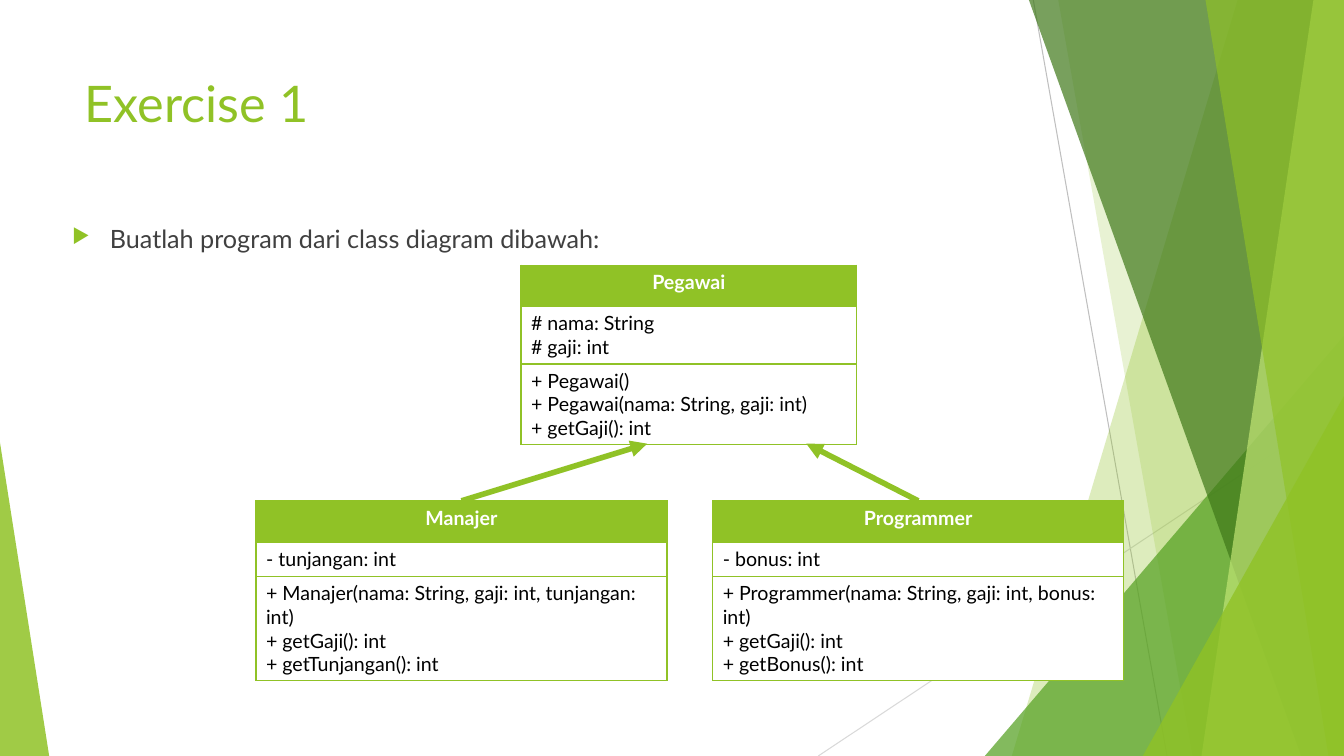
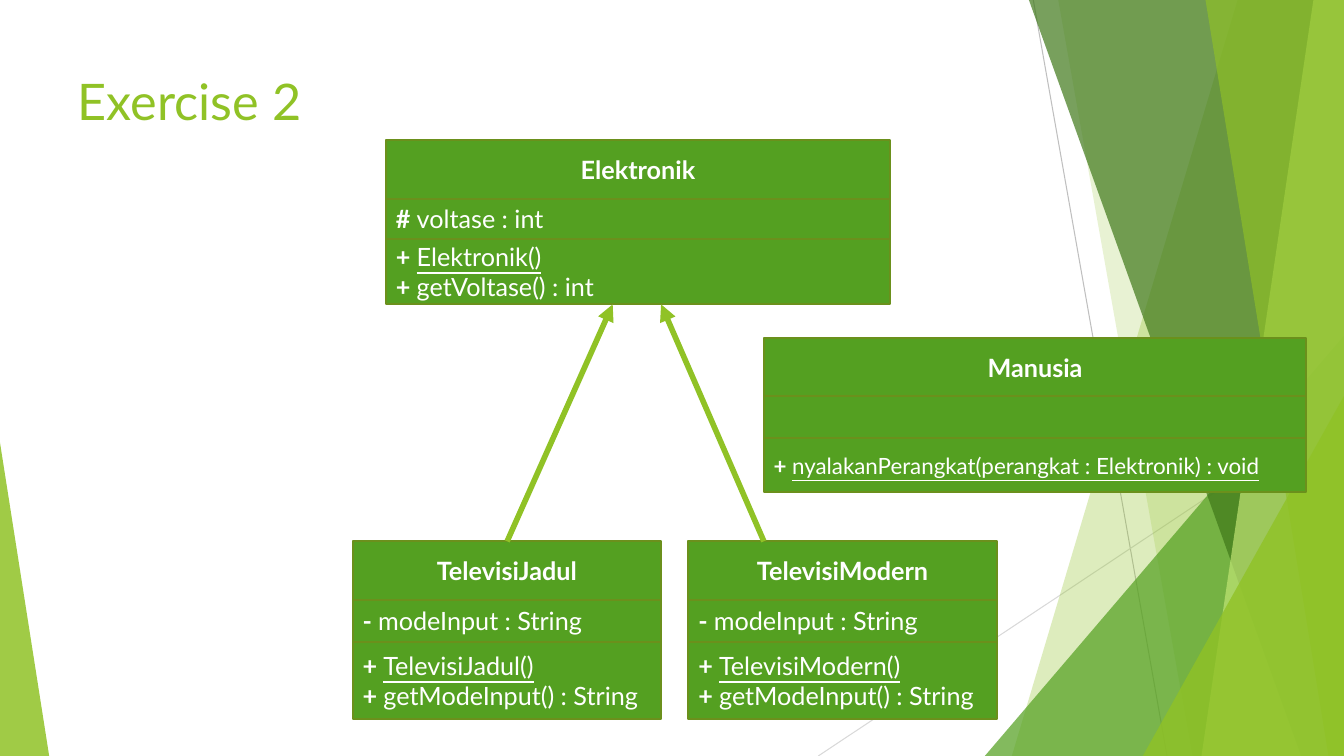
from lxml import etree
from pptx import Presentation
from pptx.dml.color import RGBColor
from pptx.enum.shapes import MSO_CONNECTOR, MSO_SHAPE
from pptx.enum.text import MSO_ANCHOR, PP_ALIGN
from pptx.oxml.ns import qn
from pptx.util import Cm, Pt

LINE = MSO_CONNECTOR.STRAIGHT
RECT, PEAK = MSO_SHAPE.RECTANGLE, MSO_SHAPE.ISOSCELES_TRIANGLE
LEFT, MID = PP_ALIGN.LEFT, PP_ALIGN.CENTER
TOP, MIDDLE = MSO_ANCHOR.TOP, MSO_ANCHOR.MIDDLE

# Lengths are centimetres.
FONT = "Lato"
WIDE, HIGH = 33.87, 19.05
LIME, GREEN, EDGE = "90C226", "54A021", "6B901C"
WHITE, BLACK, GREY = "FFFFFF", "000000", "404040"

RULES = [((26.04, 0), (29.41, HIGH), "BFBFBF"),
         ((WIDE, 10.24), (20.62, HIGH), "D9D9D9")]
# band: left edge at top and at foot; peak: left, top, width, apex
DECOR = [
    ("band", (31.19, 25.5), LIME, 30),
    ("band", (26.67, 30.05), LIME, 20),
    ("peak", (24.82, 8.46, 9.05, 1), GREEN, 72),
    ("band", (25.93, 32.79), "3F7819", 70),
    ("band", (33.1, 30.28), "C0E474", 70),
    ("band", (30.38, 33.48), LIME, 65),
    ("peak", (28.8, 9.98, 5.07, 1), LIME, 80),
    ("peak", (0, 11.15, 1.24, 0), LIME, 85),
]

TASK = "Buatlah program dari class diagram dibawah:"
# left, top, width, row heights, cell texts
TABLES = [
    (13.13, 6.68, 8.46, (1.04, 1.45, 2.02),
     ("Pegawai", "# nama: String\n# gaji: int",
      "+ Pegawai()\n+ Pegawai(nama: String, gaji: int)\n+ getGaji(): int")),
    (6.45, 12.62, 10.36, (1.04, 0.87, 2.61),
     ("Manajer", "- tunjangan: int",
      "+ Manajer(nama: String, gaji: int, tunjangan: int)\n"
      "+ getGaji(): int\n+ getTunjangan(): int")),
    (17.96, 12.62, 10.36, (1.04, 0.87, 2.61),
     ("Programmer", "- bonus: int",
      "+ Programmer(nama: String, gaji: int, bonus: int)\n"
      "+ getGaji(): int\n+ getBonus(): int")),
]
STAFF = [((11.63, 12.62), (16.31, 11.18)), ((23.14, 12.62), (20.32, 11.18))]

# left, top, width, heights, name, fields, methods, method size
# member: sign, text, underlined
MODE = [("-", "modeInput : String", False)]
GET = ("+", "getModeInput() : String", False)
BOXES = [
    (9.73, 3.53, 12.7, (1.48, 1.01, 1.65), "Elektronik",
     [("#", "voltase : int", False)],
     [("+", "Elektronik()", True), ("+", "getVoltase() : int", False)], 18),
    (8.89, 13.64, 7.77, (1.48, 1.05, 1.96), "TelevisiJadul", MODE,
     [("+", "TelevisiJadul()", True), GET], 18),
    (17.35, 13.64, 7.77, (1.48, 1.05, 1.96), "TelevisiModern", MODE,
     [("+", "TelevisiModern()", True), GET], 18),
    (19.25, 8.51, 13.67, (1.48, 1.05, 1.37), "Manusia", [],
     [("+", "nyalakanPerangkat(perangkat : Elektronik) : void", True)], 16),
]
DEVICES = [((12.78, 13.64), (15.44, 7.67)), ((19.25, 13.64), (16.66, 7.67))]


def rgb(code):
    return RGBColor.from_string(code)


def cms(*nums):
    return [Cm(n) for n in nums]


def style(run, size, color, bold=False, under=False):
    font = run.font
    font.name, font.size = FONT, Pt(size)
    font.bold, font.underline = bold, under
    font.color.rgb = rgb(color)


def paint(shape, color, alpha=100):
    """Fill a shape plainly, without line or shadow."""
    shape.shadow.inherit = False
    shape.line.fill.background()
    shape.fill.solid()
    shape.fill.fore_color.rgb = rgb(color)
    if alpha < 100:
        tone = shape._element.spPr.find(".//" + qn("a:srgbClr"))
        etree.SubElement(tone, qn("a:alpha"), val=str(alpha * 1000))


def link(slide, start, end, color, width, arrow=False):
    line = slide.shapes.add_connector(LINE, *cms(*start, *end))
    line.line.color.rgb = rgb(color)
    line.line.width = Pt(width)
    props = line._element.spPr
    if arrow:
        etree.SubElement(props.find(qn("a:ln")), qn("a:tailEnd"),
                         type="triangle")
    etree.SubElement(props, qn("a:effectLst"))


def decor(slide):
    for start, end, color in RULES:
        link(slide, start, end, color, 0.75)
    for kind, spot, color, alpha in DECOR:
        if kind == "band":
            top, foot = spot
            pen = slide.shapes.build_freeform(Cm(top), 0)
            pen.add_line_segments([cms(WIDE, 0), cms(WIDE, HIGH),
                                   cms(foot, HIGH)])
            shape = pen.convert_to_shape()
        else:
            left, top, width, apex = spot
            shape = slide.shapes.add_shape(
                PEAK, *cms(left, top, width, HIGH - top))
            shape.adjustments[0] = apex
        paint(shape, color, alpha)


def start(deck, text, *place):
    """Add a slide with its title and decoration."""
    slide = deck.slides.add_slide(deck.slide_layouts[5])
    title = slide.shapes.title
    title.left, title.top, title.width, title.height = cms(*place)
    frame = title.text_frame
    frame.text = text
    frame.vertical_anchor = TOP
    para = frame.paragraphs[0]
    para.alignment = LEFT
    style(para.runs[0], 36, LIME)
    decor(slide)
    return slide


def bullet(slide, text, *place):
    frame = slide.shapes.add_textbox(*cms(*place)).text_frame
    frame.word_wrap = True
    frame.text = text
    para = frame.paragraphs[0]
    props = para._p.get_or_add_pPr()
    props.set("marL", str(Cm(0.95)))
    props.set("indent", str(-Cm(0.95)))
    tint = etree.SubElement(props, qn("a:buClr"))
    etree.SubElement(tint, qn("a:srgbClr"), val=LIME)
    etree.SubElement(props, qn("a:buSzPct"), val="80000")
    etree.SubElement(props, qn("a:buChar"), char="▶")
    style(para.runs[0], 18, GREY)


def border(cell):
    props = cell._tc.get_or_add_tcPr()
    for side in "LRTB":
        line = etree.SubElement(props, qn("a:ln" + side), w=str(Pt(1)))
        fill = etree.SubElement(line, qn("a:solidFill"))
        etree.SubElement(fill, qn("a:srgbClr"), val=LIME)


def grid(slide, left, top, width, highs, texts):
    """Draw a class as a table of one column."""
    table = slide.shapes.add_table(
        len(texts), 1, *cms(left, top, width, sum(highs))).table
    table.horz_banding = False
    for i, (high, text) in enumerate(zip(highs, texts)):
        head = i == 0
        table.rows[i].height = Cm(high)
        cell = table.cell(i, 0)
        border(cell)
        cell.fill.solid()
        cell.fill.fore_color.rgb = rgb(LIME if head else WHITE)
        cell.text_frame.text = text
        for para in cell.text_frame.paragraphs:
            para.alignment = MID if head else LEFT
            style(para.runs[0], 14, WHITE if head else BLACK, head)


def stack(slide, left, top, width, highs, name, fields, calls, size):
    """Draw a class as three stacked boxes."""
    parts = [([("", name, False)], 18), (fields, 18), (calls, size)]
    for i, (high, (rows, points)) in enumerate(zip(highs, parts)):
        box = slide.shapes.add_shape(RECT, *cms(left, top, width, high))
        paint(box, GREEN)
        box.line.color.rgb = rgb(EDGE)
        box.line.width = Pt(1.5)
        frame = box.text_frame
        frame.word_wrap = True
        frame.vertical_anchor = MIDDLE
        for j, (sign, text, under) in enumerate(rows):
            para = frame.add_paragraph() if j else frame.paragraphs[0]
            para.alignment = LEFT if i else MID
            if sign:
                run = para.add_run()
                run.text = sign + " "
                style(run, points, WHITE, True)
            run = para.add_run()
            run.text = text
            style(run, points, WHITE, i == 0, under)
        top += high


def main():
    deck = Presentation()
    deck.slide_width, deck.slide_height = cms(WIDE, HIGH)

    slide = start(deck, "Exercise 1", 1.88, 1.7, 23.88, 3.66)
    bullet(slide, TASK, 1.57, 5.51, 30.63, 1.1)
    for item in TABLES:
        grid(slide, *item)
    for tail, tip in STAFF:
        link(slide, tail, tip, LIME, 4, True)

    slide = start(deck, "Exercise 2", 1.7, 1.65, 22.86, 2.74)
    for item in BOXES:
        stack(slide, *item)
    for tail, tip in DEVICES:
        link(slide, tail, tip, LIME, 4, True)

    deck.save("out.pptx")


if __name__ == "__main__":
    main()
